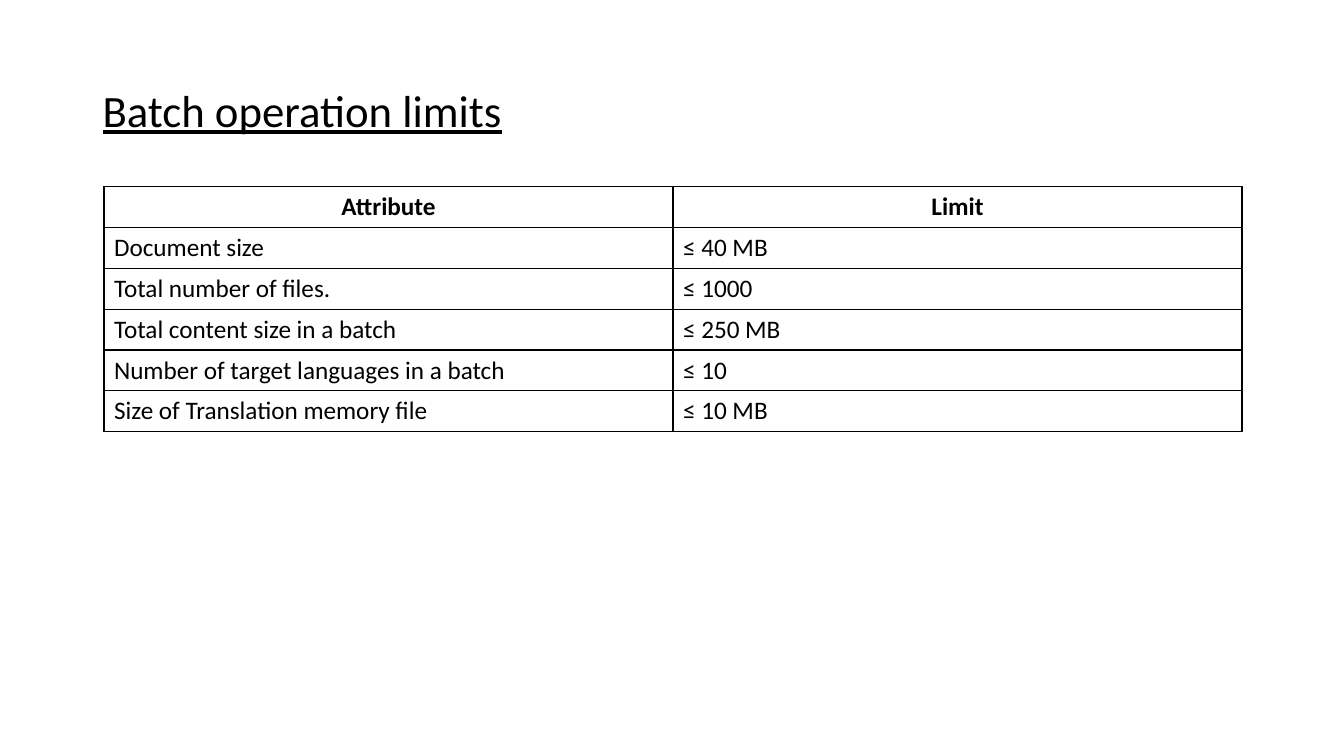
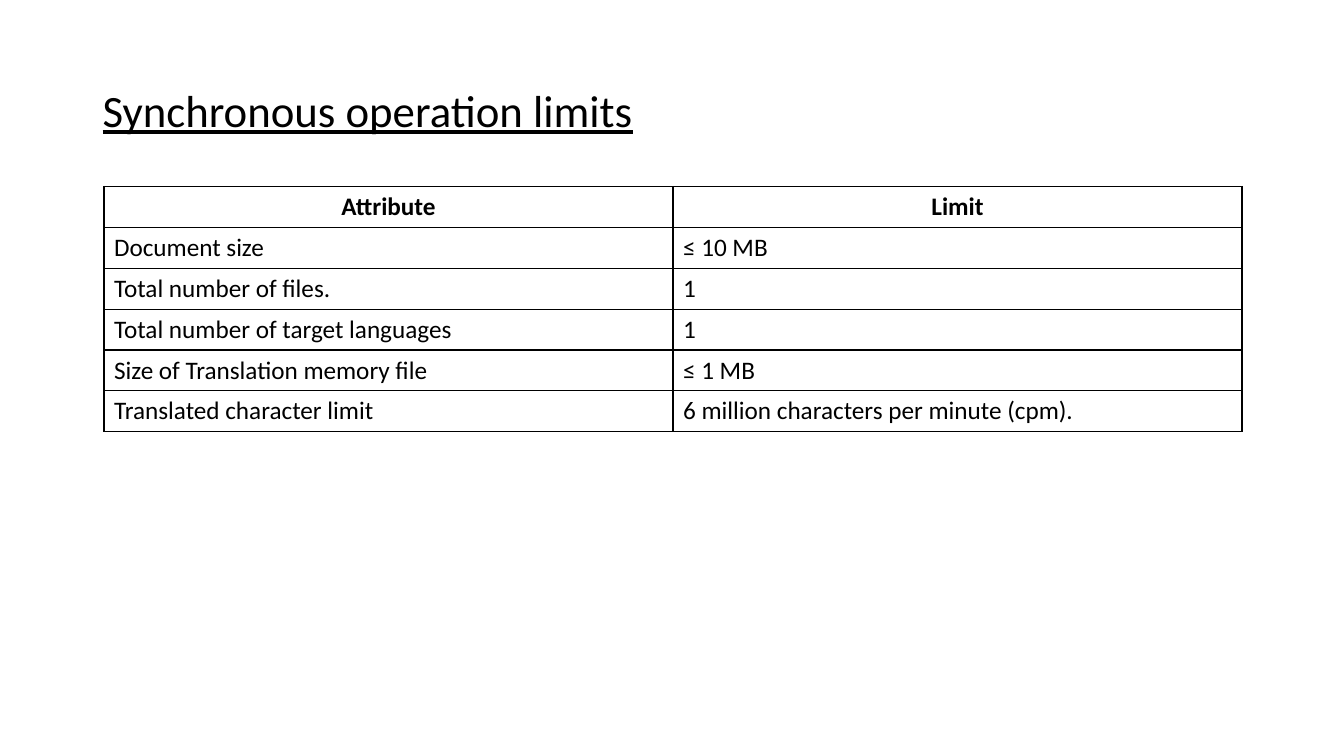
"""Builds two slides that list the limits of translation operations."""
from dataclasses import dataclass

from lxml import etree
from pptx import Presentation
from pptx import util as u
from pptx.dml.color import RGBColor
from pptx.enum import text
from pptx.oxml import ns


@dataclass(frozen=True)
class Theme:
    """Colours, type and line sizes shared by the slides."""
    font: str = "Calibri"
    ink: str = "000000"
    paper: str = "FFFFFF"
    title_size: int = 32
    table_size: int = 18
    border_width: int = 1


@dataclass(frozen=True)
class Box:
    """A region of the slide."""
    left: int
    top: int
    width: int
    height: int


THEME = Theme()
TITLE_BOX = Box(u.Cm(2.33), u.Cm(1.01), u.Cm(29.21), u.Cm(3.68))
TABLE_BOX = Box(u.Cm(2.62), u.Cm(4.7), u.Cm(28.68), u.Cm(6.18))

HEADER = ("Attribute", "Limit")
SLIDES = (
    ("Batch operation limits", (
        ("Document size", "≤ 40 MB"),
        ("Total number of files.", "≤ 1000"),
        ("Total content size in a batch", "≤ 250 MB"),
        ("Number of target languages in a batch", "≤ 10"),
        ("Size of Translation memory file", "≤ 10 MB"),
    )),
    ("Synchronous operation limits", (
        ("Document size", "≤ 10 MB"),
        ("Total number of files.", "1"),
        ("Total number of target languages", "1"),
        ("Size of Translation memory file", "≤ 1 MB"),
        ("Translated character limit", "6 million characters per minute (cpm)."),
    )),
)


def add_run(paragraph, words, size, bold=False, underline=False):
    """Append a run in the theme's font and ink."""
    run = paragraph.add_run()
    run.text = words
    font = run.font
    font.name, font.size = THEME.font, u.Pt(size)
    font.bold, font.underline = bold, underline
    font.color.rgb = RGBColor.from_string(THEME.ink)


def add_title(slide, box, words):
    """Place the title placeholder in its box and write the title."""
    title = slide.shapes.title
    title.left, title.top = box.left, box.top
    title.width, title.height = box.width, box.height
    frame = title.text_frame
    frame.word_wrap = True
    frame.vertical_anchor = text.MSO_ANCHOR.MIDDLE
    paragraph = frame.paragraphs[0]
    paragraph.alignment = text.PP_ALIGN.LEFT
    paragraph.line_spacing = 0.9
    add_run(paragraph, words, THEME.title_size, underline=True)


def add_borders(cell):
    """Draw a solid line on all four sides of a cell."""
    properties = cell._tc.get_or_add_tcPr()
    for side in ("a:lnL", "a:lnR", "a:lnT", "a:lnB"):
        line = etree.SubElement(properties, ns.qn(side), w=str(u.Pt(THEME.border_width)))
        fill = etree.SubElement(line, ns.qn("a:solidFill"))
        etree.SubElement(fill, ns.qn("a:srgbClr"), val=THEME.ink)


def fill_cell(cell, words, is_header):
    """Style a cell and write its words."""
    add_borders(cell)
    cell.fill.background()
    paragraph = cell.text_frame.paragraphs[0]
    paragraph.alignment = text.PP_ALIGN.CENTER if is_header else text.PP_ALIGN.LEFT
    add_run(paragraph, words, THEME.table_size, bold=is_header)


def add_limits_table(slide, box, limits):
    """Place a table of attributes and limits in its box."""
    rows = (HEADER, *limits)
    table = slide.shapes.add_table(
        len(rows), len(HEADER), box.left, box.top, box.width, box.height).table
    table.horz_banding = False
    for row_index, row in enumerate(rows):
        for column_index, words in enumerate(row):
            fill_cell(table.cell(row_index, column_index), words, row_index == 0)


def add_limits_slide(presentation, title, limits):
    """Add a slide with a title and its table of limits."""
    slide = presentation.slides.add_slide(presentation.slide_layouts.get_by_name("Title Only"))
    add_title(slide, TITLE_BOX, title)
    add_limits_table(slide, TABLE_BOX, limits)


def main():
    """Build and save the presentation."""
    presentation = Presentation()
    presentation.slide_width, presentation.slide_height = u.Cm(33.87), u.Cm(19.05)
    background = presentation.slide_master.background.fill
    background.solid()
    background.fore_color.rgb = RGBColor.from_string(THEME.paper)
    for title, limits in SLIDES:
        add_limits_slide(presentation, title, limits)
    presentation.save("out.pptx")


if __name__ == "__main__":
    main()
